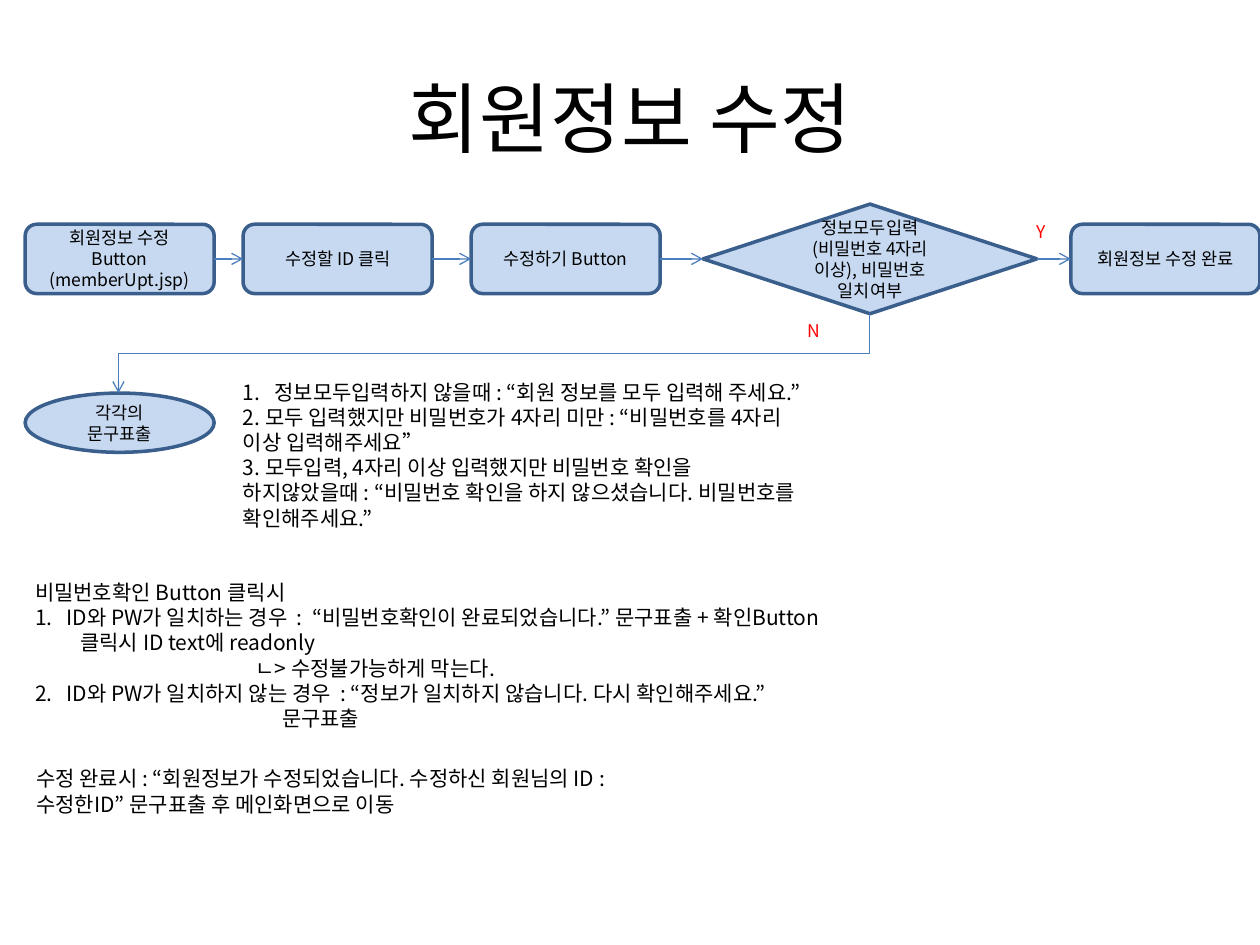
from dataclasses import dataclass

from lxml import etree
from pptx import Presentation
from pptx import util as u
from pptx.dml.color import RGBColor
from pptx.enum import shapes, text
from pptx.oxml import ns

FONT = "Noto Sans CJK KR"
COLORS = {"fill": "C6D9F1", "border": "3A5F8C", "arrow": "4B7EBC",
          "text": "000000", "label": "FF0000", "paper": "FFFFFF"}
KIND = shapes.MSO_SHAPE
LEFT_SITE, RIGHT_SITE = 1, 3


@dataclass
class Box:
    """A shape with centred text."""
    kind: shapes.MSO_SHAPE
    at: tuple[float, float, float, float]
    words: str
    fill: str = "fill"
    border: str = "border"
    color: str = "text"


@dataclass
class Para:
    """A paragraph with an optional number and left margin."""
    words: str
    number: int = 0
    margin: float = 0


@dataclass
class Note:
    """A text box of several paragraphs."""
    at: tuple[float, float, float, float]
    paras: list[Para]


def rgb(name: str) -> RGBColor:
    """Look up a named colour."""
    return RGBColor.from_string(COLORS[name])


def sub(parent, tag: str, **attrs: str):
    """Append a DrawingML element."""
    return etree.SubElement(parent, ns.qn(tag), **attrs)


def style(p, size: float, color: str = "text") -> None:
    """Format every run of a paragraph."""
    for r in p.runs:
        r.font.size = u.Pt(size)
        r.font.name = FONT
        r.font.color.rgb = rgb(color)
        sub(r.font._element, "a:ea", typeface=FONT)


def inches(at: tuple[float, ...]) -> list[u.Inches]:
    """Turn numbers into lengths."""
    return [u.Inches(v) for v in at]


def add_box(s, box: Box):
    """Draw one flowchart shape or label."""
    sp = s.shapes.add_shape(box.kind, *inches(box.at))
    sp.shadow.inherit = False
    sp.fill.solid()
    sp.fill.fore_color.rgb = rgb(box.fill)
    sp.line.color.rgb = rgb(box.border)
    sp.line.width = u.Pt(2)
    tf = sp.text_frame
    tf.word_wrap = True
    tf.vertical_anchor = text.MSO_ANCHOR.MIDDLE
    tf.text = box.words
    tf.paragraphs[0].alignment = text.PP_ALIGN.CENTER
    style(tf.paragraphs[0], 10, box.color)
    return sp


def add_arrow(s, kind: shapes.MSO_CONNECTOR, at: tuple[float, ...]):
    """Draw a thin connector with an open arrowhead."""
    c = s.shapes.add_connector(kind, *inches(at))
    c.line.color.rgb = rgb("arrow")
    c.line.width = u.Pt(0.75)
    sub(c.line._get_or_add_ln(), "a:tailEnd", type="arrow")
    sub(c._element.spPr, "a:effectLst")
    return c


def link(s, start, end) -> None:
    """Join two neighbouring shapes with a straight arrow."""
    c = add_arrow(s, shapes.MSO_CONNECTOR.STRAIGHT, (0, 0, 1, 1))
    c.begin_connect(start, RIGHT_SITE)
    c.end_connect(end, LEFT_SITE)


def add_note(s, note: Note) -> None:
    """Draw a text box with plain, indented and numbered paragraphs."""
    tf = s.shapes.add_textbox(*inches(note.at)).text_frame
    tf.word_wrap = True
    for i, para in enumerate(note.paras):
        p = tf.add_paragraph() if i else tf.paragraphs[0]
        p.text = para.words
        style(p, 12)
        pPr = p._p.get_or_add_pPr()
        if para.number:
            pPr.set("marL", str(u.Inches(0.25)))
            pPr.set("indent", str(u.Inches(-0.25)))
            sub(pPr, "a:buAutoNum", type="arabicPeriod", startAt=str(para.number))
        elif para.margin:
            pPr.set("marL", str(u.Inches(para.margin)))


def add_title(s, words: str) -> None:
    """Draw the slide heading."""
    tf = s.shapes.add_textbox(*inches((0.5, 0.3, 9, 1.25))).text_frame
    tf.word_wrap = True
    tf.vertical_anchor = text.MSO_ANCHOR.MIDDLE
    tf.text = words
    tf.paragraphs[0].alignment = text.PP_ALIGN.CENTER
    style(tf.paragraphs[0], 44)


def step(left: float, words: str) -> Box:
    """Describe a process step in the top row."""
    return Box(KIND.ROUNDED_RECTANGLE, (left, 1.78, 1.5, 0.55), words)


def label(left: float, top: float, words: str) -> Box:
    """Describe a branch label."""
    return Box(KIND.RECTANGLE, (left, top, 0.39, 0.27), words,
               "paper", "paper", "label")


FLOW = [
    step(0.2, "회원정보 수정 Button (memberUpt.jsp)"),
    step(1.93, "수정할 ID 클릭"),
    step(3.74, "수정하기 Button"),
    Box(KIND.DIAMOND, (5.58, 1.62, 2.65, 0.87),
        "정보모두입력(비밀번호 4자리 이상), 비밀번호 일치여부"),
    step(8.5, "회원정보 수정 완료"),
]
EXTRAS = [
    label(8.07, 1.7, "Y"),
    label(6.26, 2.49, "N"),
    Box(KIND.OVAL, (0.2, 3.12, 1.5, 0.47), "각각의 문구표출"),
]
NOTES = [
    Note((1.83, 2.96, 4.65, 1.72), [
        Para("정보모두입력하지 않을때 : “회원 정보를 모두 입력해 주세요.”", number=1),
        Para("2. 모두 입력했지만 비밀번호가 4자리 미만 : “비밀번호를 4자리 이상 입력해주세요”"),
        Para("3. 모두입력, 4자리 이상 입력했지만 비밀번호 확인을 하지않았을때 : "
             "“비밀번호 확인을 하지 않으셨습니다. 비밀번호를 확인해주세요.”"),
    ]),
    Note((0.18, 4.55, 7.18, 1.31), [
        Para("비밀번호확인 Button 클릭시"),
        Para("ID와 PW가 일치하는 경우  :  “비밀번호확인이 완료되었습니다.” "
             "문구표출 + 확인Button", number=1),
        Para("클릭시 ID text에 readonly", margin=0.36),
        Para("ㄴ> 수정불가능하게 막는다.", margin=1.75),
        Para("ID와 PW가 일치하지 않는 경우  : “정보가 일치하지 않습니다. "
             "다시 확인해주세요.”", number=2),
        Para("문구표출", margin=1.96),
    ]),
    Note((0.19, 6.03, 5, 0.5), [
        Para("수정 완료시 : “회원정보가 수정되었습니다. 수정하신 회원님의 ID : "
             "수정한ID” 문구표출 후 메인화면으로 이동"),
    ]),
]


def main() -> None:
    """Build the slide and save it."""
    prs = Presentation()
    prs.slide_width, prs.slide_height = u.Inches(10), u.Inches(7.5)
    s = prs.slides.add_slide(prs.slide_layouts[6])
    add_title(s, "회원정보 수정")
    steps = [add_box(s, box) for box in FLOW]
    for box in EXTRAS:
        add_box(s, box)
    for start, end in zip(steps, steps[1:]):
        link(s, start, end)
    # A quarter turn makes the elbow leave downwards from the diamond.
    x1, y1, x2, y2 = 6.9, 2.49, 0.94, 3.12
    cx, cy = (x1 + x2) / 2, (y1 + y2) / 2
    dx, dy = (y2 - y1) / 2, (x1 - x2) / 2
    c = add_arrow(s, shapes.MSO_CONNECTOR.ELBOW,
                  (cx - dx, cy - dy, cx + dx, cy + dy))
    c._element.spPr.find(ns.qn("a:xfrm")).set("rot", str(90 * 60000))
    for note in NOTES:
        add_note(s, note)
    prs.save("out.pptx")


main()
